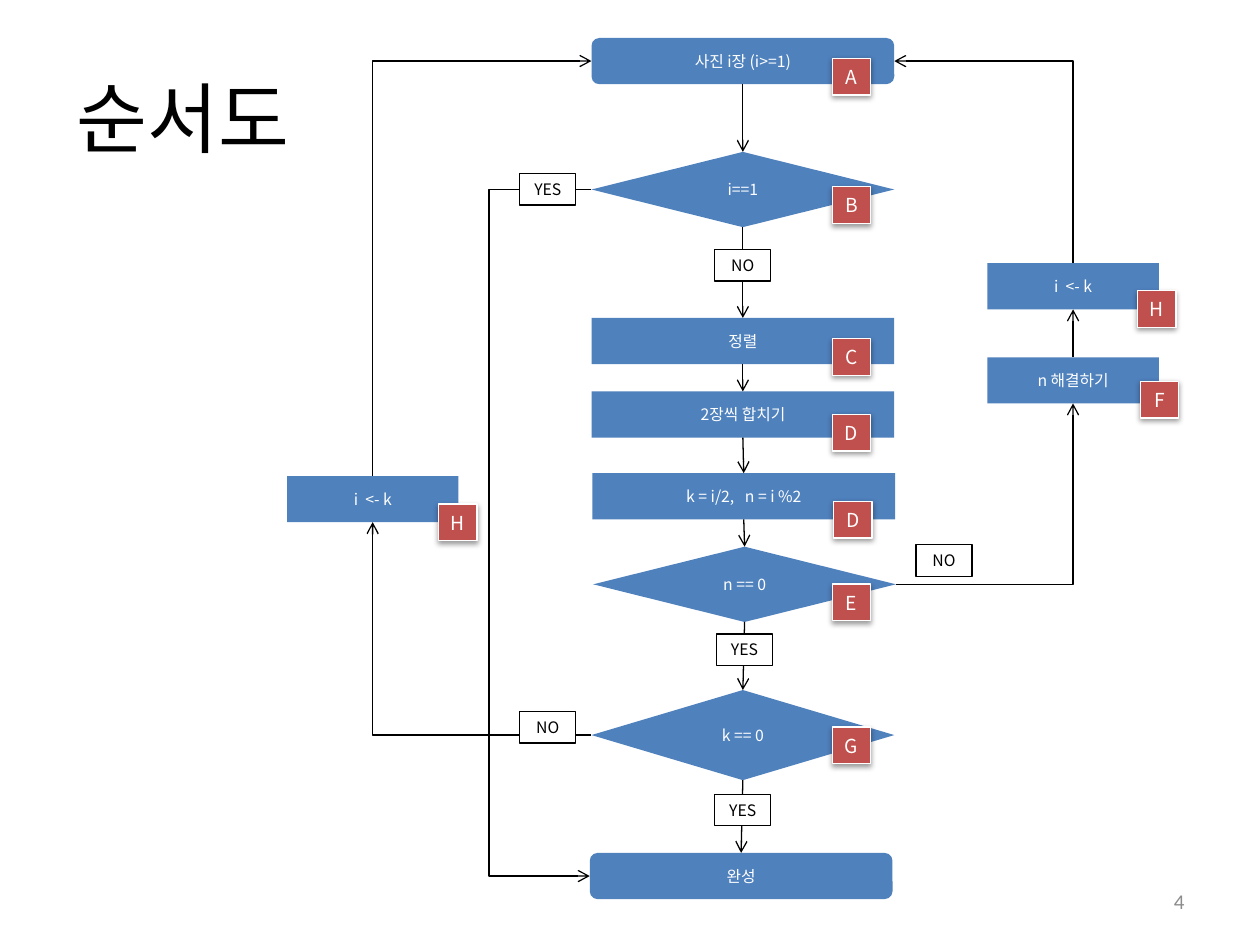
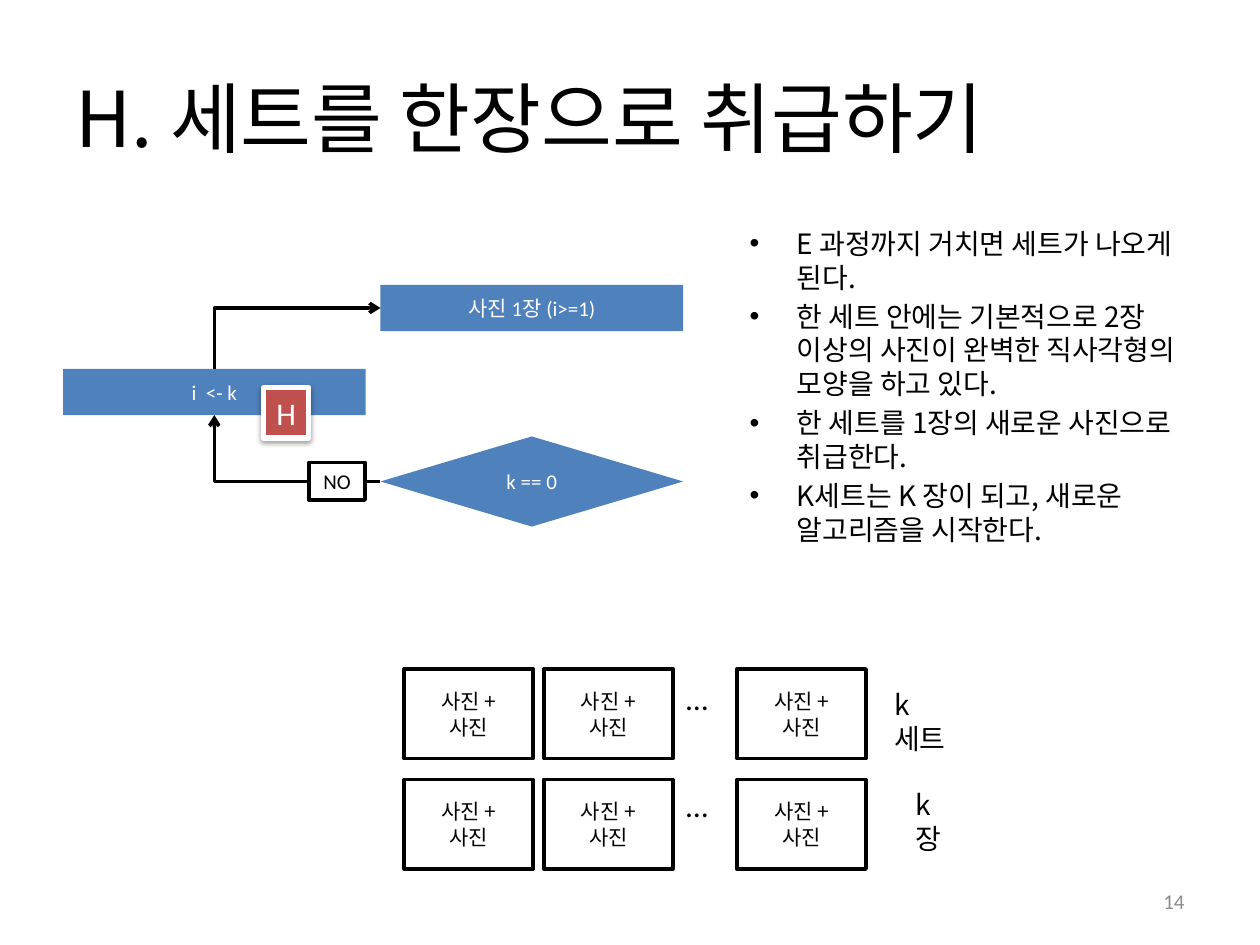
"""Builds two flowchart slides about merging photos into sets."""
import dataclasses

import pptx
import pptx.dml.color
import pptx.enum.shapes
import pptx.enum.text
import pptx.oxml
import pptx.oxml.ns
import pptx.util
from lxml import etree

Pt = pptx.util.Pt
SHAPE = pptx.enum.shapes.MSO_SHAPE
CONNECTOR = pptx.enum.shapes.MSO_CONNECTOR
ALIGN = pptx.enum.text.PP_ALIGN
ANCHOR = pptx.enum.text.MSO_ANCHOR
TOP, LEFT, BOTTOM, RIGHT = range(4)


@dataclasses.dataclass(frozen=True)
class Theme:
    blue: str = "4F81BD"
    red: str = "C0504D"
    white: str = "FFFFFF"
    black: str = "000000"
    grey: str = "8C8C8C"
    korean: str = "Noto Sans CJK KR"
    latin: str = "Calibri"
    title_size: float = 44
    body_size: float = 16
    dots_size: float = 18
    cell_size: float = 12
    number_size: float = 12


@dataclasses.dataclass(frozen=True)
class ChartStyle:
    font: str
    size: float
    line: float
    tag_height: float
    badge_size: float
    badge_line: float
    badge_box: tuple


THEME = Theme()
OVERVIEW = ChartStyle(THEME.korean, 9, 0.75, 18, 11, 0.75, (22, 21))
DETAIL = ChartStyle(THEME.latin, 12, 2, 21.6, 18, 3, (26, 28.8))

WIDE, NARROW = 173, 98
BAR, LOW_DIAMOND, TALL_DIAMOND = 26.4, 43, 51.5
TAG_WIDTH = 32

FLOW = {
    "style": OVERVIEW,
    "nodes": {
        "start": ("사진 i장 (i>=1)", SHAPE.ROUNDED_RECTANGLE, 338, 21.7, WIDE, BAR),
        "single": ("i==1", SHAPE.DIAMOND, 338, 86.8, WIDE, LOW_DIAMOND),
        "sort": ("정렬", SHAPE.RECTANGLE, 338, 181.7, WIDE, BAR),
        "merge": ("2장씩 합치기", SHAPE.RECTANGLE, 338, 223.7, WIDE, BAR),
        "halve": ("k = i/2,   n = i %2", SHAPE.RECTANGLE, 338.5, 270.4, WIDE, BAR),
        "rest": ("n == 0", SHAPE.DIAMOND, 339, 312.4, WIDE, LOW_DIAMOND),
        "sets": ("k == 0", SHAPE.DIAMOND, 338, 394.3, WIDE, TALL_DIAMOND),
        "done": ("완성", SHAPE.ROUNDED_RECTANGLE, 337, 487.4, WIDE, BAR),
        "left_loop": ("i  <- k", SHAPE.RECTANGLE, 164, 272, NARROW, BAR),
        "right_loop": ("i  <- k", SHAPE.RECTANGLE, 564.2, 150.4, NARROW, BAR),
        "solve": ("n 해결하기", SHAPE.RECTANGLE, 564.2, 204.2, NARROW, BAR),
    },
    "links": [
        ("start", BOTTOM, "single", TOP),
        ("single", BOTTOM, "sort", TOP),
        ("sort", BOTTOM, "merge", TOP),
        ("merge", BOTTOM, "halve", TOP),
        ("halve", BOTTOM, "rest", TOP),
        ("rest", BOTTOM, "sets", TOP),
        ("sets", BOTTOM, "done", TOP),
        ("solve", TOP, "right_loop", BOTTOM),
        ("single", LEFT, "done", LEFT),
        ("sets", LEFT, "left_loop", BOTTOM),
        ("left_loop", TOP, "start", LEFT),
        ("rest", RIGHT, "solve", BOTTOM),
        ("right_loop", TOP, "start", RIGHT),
    ],
    "tags": [
        ("YES", 297, 99.2), ("NO", 408.4, 142.6), ("NO", 297, 406.6),
        ("YES", 408.4, 453.8), ("YES", 409.4, 362.2), ("NO", 523.4, 311.3),
    ],
    "badges": [
        ("A", 475.6, 33.3), ("B", 475.6, 106.6), ("C", 475.6, 193.4),
        ("D", 475.6, 236.7), ("D", 476.4, 286.4), ("E", 475.6, 333.7),
        ("G", 475.6, 415.5), ("F", 651.6, 217.8), ("H", 650, 166),
        ("H", 250.6, 288),
    ],
}

LOOP = {
    "style": DETAIL,
    "nodes": {
        "start": ("사진 1장 (i>=1)", SHAPE.RECTANGLE, 217.4, 162.8, WIDE, BAR),
        "sets": ("k == 0", SHAPE.DIAMOND, 217.4, 249.4, WIDE, TALL_DIAMOND),
        "loop": ("i  <- k", SHAPE.RECTANGLE, 36, 210.8, WIDE, BAR),
    },
    "links": [("sets", LEFT, "loop", BOTTOM), ("loop", TOP, "start", LEFT)],
    "tags": [("NO", 176.6, 264.2)],
    "badges": [("H", 150.5, 221.6)],
}

FLOW_TITLE = "순서도"
LOOP_TITLE = "H. 세트를 한장으로 취급하기"
LOOP_POINTS = [
    "E 과정까지 거치면 세트가 나오게 된다.",
    "한 세트 안에는 기본적으로 2장 이상의 사진이 완벽한 직사각형의 모양을 하고 있다.",
    "한 세트를 1장의 새로운 사진으로 취급한다.",
    "K세트는 K 장이 되고, 새로운 알고리즘을 시작한다.",
]
SET_CELL = "사진 + 사진"
SET_COLUMNS = (231, 310.8, 421.2)
SET_ROWS = [
    (382.3, "k 세트", 504, 389, 50, 384.5),
    (445.4, "k 장", 516, 446, 38, 445.7),
]
BYPASS_X = 278.9


def color(value):
    return pptx.dml.color.RGBColor.from_string(value)


def child(parent, tag, **attributes):
    names = {key: str(value) for key, value in attributes.items()}
    return etree.SubElement(parent, pptx.oxml.ns.qn(tag), names)


def write(box, text, *, size, font=THEME.korean, ink=THEME.black, align=ALIGN.CENTER,
          anchor=ANCHOR.MIDDLE, side=7.2, wrap=True, leading=None, bullet=False):
    frame = box.text_frame
    frame.word_wrap = wrap
    frame.vertical_anchor = anchor
    frame.margin_left = frame.margin_right = Pt(side)
    frame.margin_top = frame.margin_bottom = Pt(3.6)
    for index, line in enumerate([text] if isinstance(text, str) else text):
        para = frame.add_paragraph() if index else frame.paragraphs[0]
        para.alignment = align
        if leading:
            para.line_spacing = Pt(leading)
        if bullet:
            para.space_before = Pt(3.2)
            properties = para._p.get_or_add_pPr()
            properties.set("marL", str(Pt(27)))
            properties.set("indent", str(-Pt(27)))
            child(properties, "a:buFont", typeface="Arial")
            child(properties, "a:buChar", char="•")
        span = para.add_run()
        span.text = line
        span.font.size = Pt(size)
        span.font.name = font
        span.font.color.rgb = color(ink)
        child(span.font._element, "a:ea", typeface=THEME.korean)


def add_label(page, text, left, top, width, height, **style):
    box = page.shapes.add_textbox(Pt(left), Pt(top), Pt(width), Pt(height))
    write(box, text, **style)


def add_block(page, text, kind, left, top, width, height, *, fill, line=None,
              line_width=0.75, **style):
    box = page.shapes.add_shape(kind, Pt(left), Pt(top), Pt(width), Pt(height))
    box.shadow.inherit = False
    box.fill.solid()
    box.fill.fore_color.rgb = color(fill)
    if line:
        box.line.color.rgb = color(line)
        box.line.width = Pt(line_width)
    else:
        box.line.fill.background()
    write(box, text, **style)
    return box


def add_badge(page, letter, left, top, style):
    box = add_block(page, letter, SHAPE.RECTANGLE, left, top, *style.badge_box,
                    fill=THEME.red, line=THEME.white, line_width=style.badge_line,
                    size=style.badge_size, font=style.font, ink=THEME.white,
                    side=0, wrap=False)
    effects = box._element.spPr.find(pptx.oxml.ns.qn("a:effectLst"))
    shadow = child(effects, "a:outerShdw", blurRad=Pt(3.1), dist=Pt(1.6),
                   dir=5400000, rotWithShape=0)
    child(child(shadow, "a:srgbClr", val=THEME.black), "a:alpha", val=38000)


def add_link(page, source, source_side, target, target_side, width):
    straight = {source_side, target_side} == {TOP, BOTTOM}
    corner = not straight and source_side != target_side
    backward = corner and source_side in (TOP, BOTTOM)
    ends = [(source, source_side), (target, target_side)]
    if backward:
        ends.reverse()
    kind = CONNECTOR.STRAIGHT if straight else CONNECTOR.ELBOW
    link = page.shapes.add_connector(kind, 0, 0, 0, 0)
    link.begin_connect(*ends[0])
    link.end_connect(*ends[1])
    link.line.color.rgb = color(THEME.black)
    link.line.width = Pt(width)
    properties = link._element.spPr
    geometry = properties.find(pptx.oxml.ns.qn("a:prstGeom"))
    if corner:
        geometry.set("prst", "bentConnector2")
    elif not straight:
        bend = round(100000 * (link.begin_x - Pt(BYPASS_X)) / (link.begin_x - link.end_x))
        guides = geometry.find(pptx.oxml.ns.qn("a:avLst"))
        child(guides, "a:gd", name="adj1", fmla=f"val {bend}")
    outline = properties.find(pptx.oxml.ns.qn("a:ln"))
    child(outline, "a:headEnd" if backward else "a:tailEnd", type="arrow")
    child(properties, "a:effectLst")


def draw_chart(page, chart):
    style = chart["style"]
    nodes = {
        name: add_block(page, *node, fill=THEME.blue, size=style.size,
                        font=style.font, ink=THEME.white)
        for name, node in chart["nodes"].items()
    }
    for source, source_side, target, target_side in chart["links"]:
        add_link(page, nodes[source], source_side, nodes[target], target_side, style.line)
    for text, left, top in chart["tags"]:
        add_block(page, text, SHAPE.RECTANGLE, left, top, TAG_WIDTH, style.tag_height,
                  fill=THEME.white, line=THEME.black, line_width=style.line,
                  size=style.size, font=style.font, side=0)
    for letter, left, top in chart["badges"]:
        add_badge(page, letter, left, top, style)


def add_page(deck, title, title_width, title_align, number):
    page = deck.slides.add_slide(deck.slide_layouts[6])
    add_label(page, title, 36, 21.6, title_width, 90, size=THEME.title_size,
              align=title_align, wrap=False)
    add_label(page, number, 516, 500.5, 168, 28.8, size=THEME.number_size,
              font=THEME.latin, ink=THEME.grey, align=ALIGN.RIGHT)
    return page


def draw_sets(page):
    for top, label, label_left, label_top, label_width, dots_top in SET_ROWS:
        for left in SET_COLUMNS:
            add_block(page, SET_CELL, SHAPE.RECTANGLE, left, top, 73.7, 51.2,
                      fill=THEME.white, line=THEME.black, line_width=2,
                      size=THEME.cell_size, side=9, leading=14.8)
        add_label(page, "…", 385, dots_top, 32.4, 28.8, size=THEME.dots_size,
                  font=THEME.latin, align=ALIGN.LEFT, anchor=ANCHOR.TOP, wrap=False)
        add_label(page, label, label_left, label_top, label_width, 46,
                  size=THEME.body_size, align=ALIGN.LEFT, anchor=ANCHOR.TOP, leading=19.6)


def main():
    deck = pptx.Presentation()
    deck.slide_width, deck.slide_height = Pt(720), Pt(540)
    flow_page = add_page(deck, FLOW_TITLE, 137, ALIGN.CENTER, "4")
    draw_chart(flow_page, FLOW)
    loop_page = add_page(deck, LOOP_TITLE, 648, ALIGN.LEFT, "14")
    add_label(loop_page, LOOP_POINTS, 421.2, 126, 262.8, 211, size=THEME.body_size,
              align=ALIGN.LEFT, anchor=ANCHOR.TOP, leading=19.2, bullet=True)
    draw_chart(loop_page, LOOP)
    draw_sets(loop_page)
    deck.save("out.pptx")


if __name__ == "__main__":
    main()
